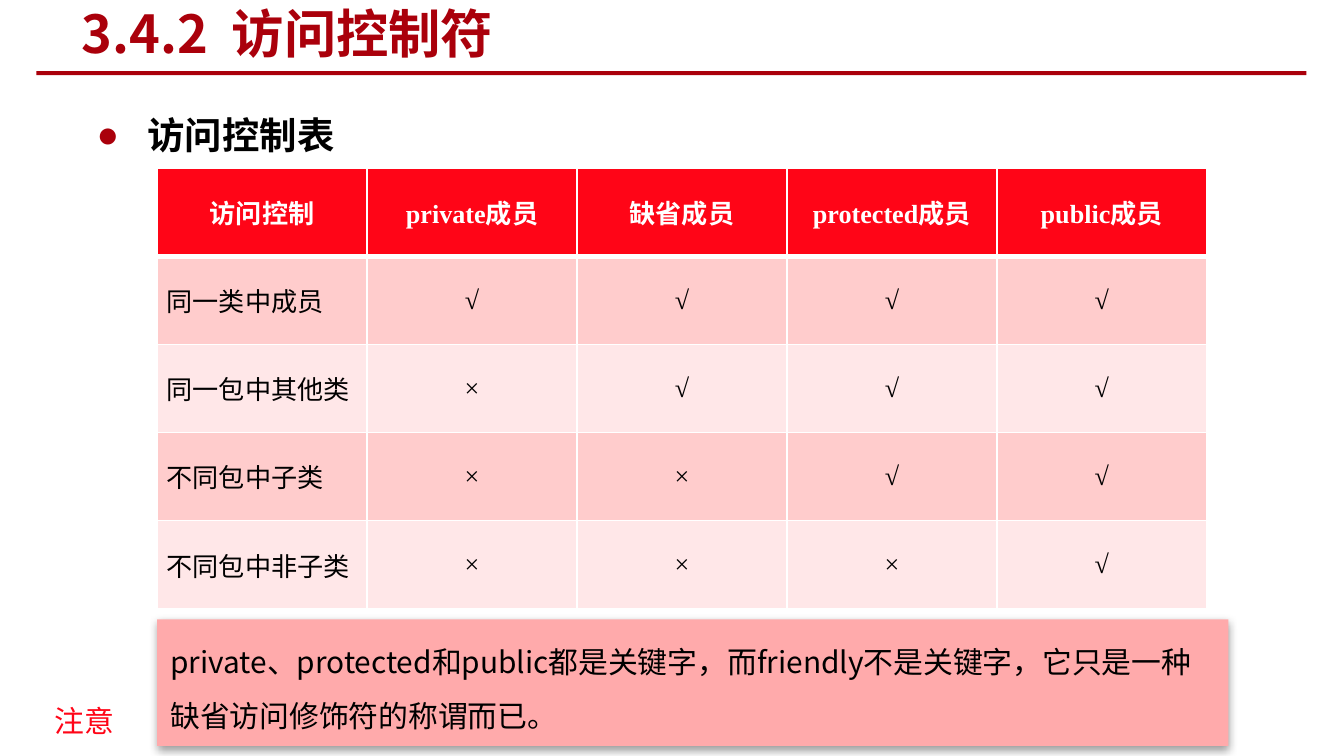
from lxml.etree import SubElement as Sub
from pptx import Presentation
from pptx.dml.color import RGBColor
from pptx.enum.shapes import MSO_SHAPE as Shape
from pptx.enum.text import MSO_ANCHOR as Anchor, MSO_AUTO_SIZE as Fit, PP_ALIGN as Align
from pptx.oxml.ns import qn
from pptx.util import Inches, Pt

SANS = "Noto Sans CJK SC"
SERIF = "Times New Roman"
DARK, RED, PINK = "AA000B", "FF0517", "FFAAAB"
BLACK, WHITE = "000000", "FFFFFF"
BANDS = ["FFCCCC", "FFE7E8"]
ROWS = [
    ["访问控制", "private成员", "缺省成员", "protected成员", "public成员"],
    ["同一类中成员", "√", "√", "√", "√"],
    ["同一包中其他类", "×", "√", "√", "√"],
    ["不同包中子类", "×", "×", "√", "√"],
    ["不同包中非子类", "×", "×", "×", "√"],
]


def paint(fill, color):
    fill.solid()
    fill.fore_color.rgb = RGBColor.from_string(color)


def write(frame, text, size, color, bold=False, face=SANS, align=Align.LEFT):
    frame.text = text
    para = frame.paragraphs[0]
    para.alignment = align
    for run in para.runs:
        font = run.font
        font.size, font.bold, font.name = Pt(size), bold, face
        paint(font.fill, color)
        Sub(font._element, qn("a:ea"), typeface=SANS)
    return para


def add_box(slide, box):
    return slide.shapes.add_textbox(*map(Inches, box))


def add_bar(slide, box, color):
    bar = slide.shapes.add_shape(Shape.RECTANGLE, *map(Inches, box))
    paint(bar.fill, color)
    bar.line.fill.background()
    bar.shadow.inherit = False
    return bar


def add_title(slide, box, text):
    title = slide.shapes.title
    title.left, title.top, title.width, title.height = map(Inches, box)
    frame = title.text_frame
    frame.auto_size = Fit.NONE
    frame.vertical_anchor = Anchor.MIDDLE
    write(frame, text, 28, DARK, True)


def add_bullet(slide, box, text):
    frame = add_box(slide, box).text_frame
    frame.word_wrap = True
    para = write(frame, text, 20, BLACK, True)
    para.line_spacing, para.space_before = 1.5, Pt(4)
    props = para._p.get_or_add_pPr()
    indent = Inches(0.38)
    props.set("marL", str(indent))
    props.set("indent", str(-indent))
    Sub(Sub(props, qn("a:buClr")), qn("a:srgbClr"), val=DARK)
    Sub(props, qn("a:buFont"), typeface=SERIF)
    Sub(props, qn("a:buChar"), char="●")


def add_edges(cell, base):
    props = cell._tc.get_or_add_tcPr()
    for side, width in zip("LRTB", (1, 1, 1, base)):
        line = Sub(props, qn("a:ln" + side), w=str(Pt(width)))
        Sub(Sub(line, qn("a:solidFill")), qn("a:srgbClr"), val=WHITE)


def add_grid(slide, box, rows):
    table = slide.shapes.add_table(len(rows), len(rows[0]), *map(Inches, box)).table
    for r, row in enumerate(rows):
        head = r == 0
        for c, text in enumerate(row):
            cell = table.cell(r, c)
            cell.margin_left = cell.margin_right = Inches(0.07)
            cell.margin_top = cell.margin_bottom = 0
            cell.vertical_anchor = Anchor.MIDDLE
            align = Align.CENTER if head or c else Align.JUSTIFY
            write(cell.text_frame, text, 14, WHITE if head else BLACK, head, SERIF, align)
            add_edges(cell, 3 if head else 1)
            paint(cell.fill, RED if head else BANDS[(r - 1) % 2])


def add_shade(shape):
    effects = shape._element.spPr.find(qn("a:effectLst"))
    shade = Sub(effects, qn("a:outerShdw"), blurRad=str(Pt(5)), dist=str(Pt(1.6)),
                dir="5400000", rotWithShape="0")
    color = Sub(shade, qn("a:srgbClr"), val=BLACK)
    Sub(color, qn("a:alpha"), val="38000")


def add_note(slide, box, text):
    note = add_bar(slide, box, PINK)
    add_shade(note)
    frame = note.text_frame
    frame.word_wrap = True
    frame.vertical_anchor = Anchor.TOP
    para = write(frame, text, 16, BLACK)
    para.line_spacing, para.space_before = 1.5, Pt(3.2)


def add_label(slide, box, text):
    frame = add_box(slide, box).text_frame
    frame.word_wrap = False
    frame.auto_size = Fit.SHAPE_TO_FIT_TEXT
    write(frame, text, 16, RED)


def main():
    deck = Presentation()
    deck.slide_width = Inches(10)
    deck.slide_height = deck.slide_width * 9 // 16
    slide = deck.slides.add_slide(deck.slide_layouts[5])
    add_bar(slide, (0.27, 0.53, 9.45, 0.03), DARK)
    add_title(slide, (0.51, 0.02, 5.3, 0.45), "3.4.2  访问控制符")
    add_bullet(slide, (0.62, 0.62, 8.98, 2.58), "访问控制表")
    add_note(slide, (1.17, 4.61, 7.97, 0.94),
             "private、protected和public都是关键字，而friendly不是关键字，"
             "它只是一种缺省访问修饰符的称谓而已。")
    add_grid(slide, (1.17, 1.25, 7.81, 3.28), ROWS)
    add_label(slide, (0.31, 5.18, 0.65, 0.37), "注意")
    deck.save("out.pptx")


if __name__ == "__main__":
    main()
